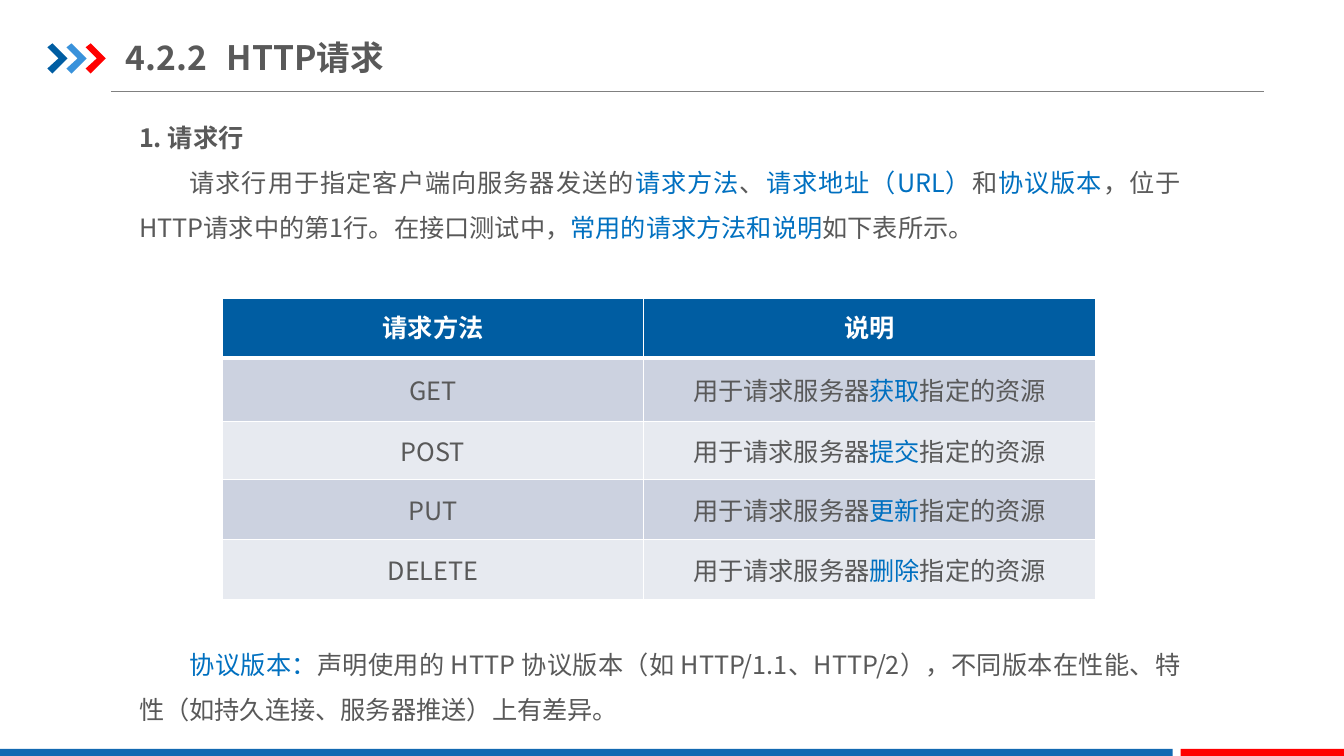
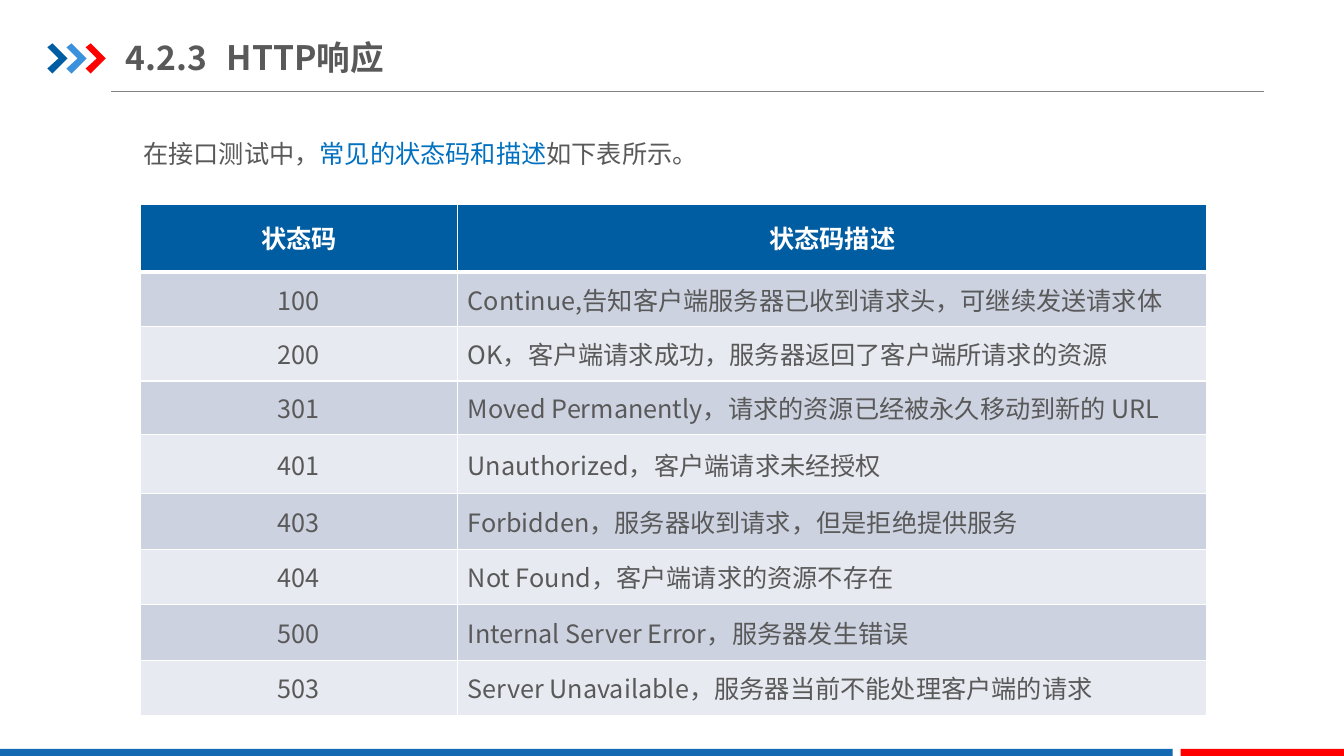
import pptx
import pptx.dml.color
import pptx.enum.shapes
import pptx.enum.text
import pptx.oxml.ns
import pptx.util
from lxml import etree

COLORS = {
    "text": "595959",
    "accent": "0070C0",
    "white": "FFFFFF",
    "navy": "005DA2",
    "sky": "3992DB",
    "red": "FF0000",
    "band": "1369B2",
    "rule": "808080",
    "odd": "CCD2E0",
    "even": "E7EAF0",
}
FONT = "Noto Sans CJK SC"
EMU_PER_PX = 9144  # 100 px to the inch
PAGE_WIDTH, PAGE_HEIGHT = 1333, 750
BODY_SIZE, TITLE_SIZE = 18, 24
CHEVRON = [(0, 4), (5, 0), (20, 15), (5, 30), (0, 25), (11, 15)]

ALIGN = pptx.enum.text.PP_ALIGN
MIDDLE = pptx.enum.text.MSO_ANCHOR.MIDDLE


def px(length):
    return pptx.util.Emu(length * EMU_PER_PX)


def rgb(name):
    return pptx.dml.color.RGBColor.from_string(COLORS[name])


def add_xml(parent, tag, **attributes):
    return etree.SubElement(parent, pptx.oxml.ns.qn(tag), **attributes)


class Deck:
    def __init__(self):
        self.deck = pptx.Presentation()
        self.deck.slide_width = px(PAGE_WIDTH)
        self.deck.slide_height = px(PAGE_HEIGHT)
        self.page = None

    def add_page(self, title):
        """Start a slide with the shared rule, chevrons, bottom bands and title."""
        self.page = self.deck.slides.add_slide(self.deck.slide_layouts[6])
        self.rule(110, 91, 1254)
        for index, color in enumerate(("navy", "sky", "red")):
            self.chevron(47 + 19 * index, 43, color)
        self.band(0, 1163, "band")
        self.band(1171, PAGE_WIDTH - 1171, "red")
        self.title(title)

    def rule(self, left, top, right):
        line = self.page.shapes.add_connector(
            pptx.enum.shapes.MSO_CONNECTOR.STRAIGHT, px(left), px(top), px(right), px(top))
        line.line.color.rgb = rgb("rule")
        line.line.width = pptx.util.Pt(0.75)
        add_xml(line._element.spPr, "a:effectLst")

    def paint(self, shape, color):
        shape.shadow.inherit = False
        shape.fill.solid()
        shape.fill.fore_color.rgb = rgb(color)
        shape.line.fill.background()

    def chevron(self, left, top, color):
        points = [(left + x, top + y) for x, y in CHEVRON]
        outline = self.page.shapes.build_freeform(*points[0], scale=EMU_PER_PX)
        outline.add_line_segments(points[1:], close=True)
        self.paint(outline.convert_to_shape(), color)

    def band(self, left, width, color):
        shape = self.page.shapes.add_shape(
            pptx.enum.shapes.MSO_SHAPE.RECTANGLE, px(left), px(743), px(width), px(9))
        self.paint(shape, color)

    def fill_para(self, para, text, size=BODY_SIZE, color="text", bold=False):
        """Fill a paragraph; parts between asterisks take the accent colour."""
        font = para.font
        font.size = pptx.util.Pt(size)
        font.bold = bold
        font.color.rgb = rgb(color)
        font.name = FONT
        add_xml(font._element, "a:ea", typeface=FONT)
        for index, part in enumerate(text.split("*")):
            if part:
                span = para.add_run()
                span.text = part
                if index % 2:
                    span.font.color.rgb = rgb("accent")

    def text_box(self, left, top, width, height, side_inset):
        box = self.page.shapes.add_textbox(px(left), px(top), px(width), px(height))
        frame = box.text_frame
        frame.word_wrap = True
        frame.margin_left = frame.margin_right = px(side_inset)
        frame.margin_top = frame.margin_bottom = px(7)
        return frame

    def title(self, text):
        frame = self.text_box(125, 29, 426, 55, 0)
        frame.vertical_anchor = MIDDLE
        self.fill_para(frame.paragraphs[0], text, TITLE_SIZE, bold=True)

    def body(self, left, top, height, text, heading=None, indent=50):
        frame = self.text_box(left, top, 1059, height, 13)
        frame.auto_size = pptx.enum.text.MSO_AUTO_SIZE.SHAPE_TO_FIT_TEXT
        para = frame.paragraphs[0]
        if heading:
            self.format_body(para, 0)
            self.fill_para(para, heading, bold=True)
            para = frame.add_paragraph()
        self.format_body(para, indent)
        self.fill_para(para, text)

    def format_body(self, para, indent):
        para.alignment = ALIGN.JUSTIFY
        para.line_spacing = 1.5
        if indent:
            para._p.get_or_add_pPr().set("indent", str(px(indent)))

    def cell_borders(self, cell, row):
        """White hairlines, with a thick one under the header row."""
        properties = cell._tc.get_or_add_tcPr()
        widths = {"L": 1, "R": 1, "T": 3 if row == 1 else 1, "B": 3 if row == 0 else 1}
        for side, width in widths.items():
            line = add_xml(properties, f"a:ln{side}", w=str(pptx.util.Pt(width)))
            add_xml(add_xml(line, "a:solidFill"), "a:srgbClr", val=COLORS["white"])

    def table(self, left, top, widths, heights, rows, last_align):
        table = self.page.shapes.add_table(
            len(rows), len(widths), px(left), px(top), px(sum(widths)), px(sum(heights))).table
        for column, width in zip(table.columns, widths):
            column.width = px(width)
        for row, (height, texts) in enumerate(zip(heights, rows)):
            table.rows[row].height = px(height)
            header = row == 0
            fill = "navy" if header else "odd" if row % 2 else "even"
            for column, text in enumerate(texts):
                cell = table.cell(row, column)
                self.cell_borders(cell, row)
                cell.fill.solid()
                cell.fill.fore_color.rgb = rgb(fill)
                cell.vertical_anchor = MIDDLE
                para = cell.text_frame.paragraphs[0]
                para.alignment = ALIGN.CENTER if header or column == 0 else last_align
                if header:
                    para.line_spacing = 0.9
                self.fill_para(para, text, color="white" if header else "text", bold=header)


def request_page(deck):
    deck.add_page("4.2.2\tHTTP请求")
    deck.body(125, 99, 150,
              "请求行用于指定客户端向服务器发送的*请求方法*、*请求地址（URL）*和*协议版本*，"
              "位于HTTP请求中的第1行。在接口测试中，*常用的请求方法和说明*如下表所示。",
              heading="1. 请求行")
    methods = {"GET": "获取", "POST": "提交", "PUT": "更新", "DELETE": "删除"}
    rows = [("请求方法", "说明")]
    rows += [(method, f"用于请求服务器*{action}*指定的资源") for method, action in methods.items()]
    deck.table(221, 296, [417, 449], [59, 63, 58, 59, 60], rows, ALIGN.CENTER)
    deck.body(125, 622, 99,
              "*协议版本：*声明使用的 HTTP 协议版本（如 HTTP/1.1、HTTP/2），"
              "不同版本在性能、特性（如持久连接、服务器推送）上有差异。")


def response_page(deck):
    deck.add_page("4.2.3\tHTTP响应")
    deck.body(129, 115, 59, "在接口测试中，*常见的状态码和描述*如下表所示。", indent=0)
    rows = [
        ("状态码", "状态码描述"),
        ("100", "Continue,告知客户端服务器已收到请求头，可继续发送请求体"),
        ("200", "OK，客户端请求成功，服务器返回了客户端所请求的资源"),
        ("301", "Moved Permanently，请求的资源已经被永久移动到新的 URL"),
        ("401", "Unauthorized，客户端请求未经授权"),
        ("403", "Forbidden，服务器收到请求，但是拒绝提供服务"),
        ("404", "Not Found，客户端请求的资源不存在"),
        ("500", "Internal Server Error，服务器发生错误"),
        ("503", "Server Unavailable，服务器当前不能处理客户端的请求"),
    ]
    heights = [67, 54, 54, 53, 59] + [55] * 4
    deck.table(139, 203, [315, 743], heights, rows, ALIGN.LEFT)


def main():
    deck = Deck()
    request_page(deck)
    response_page(deck)
    deck.deck.save("out.pptx")


if __name__ == "__main__":
    main()
